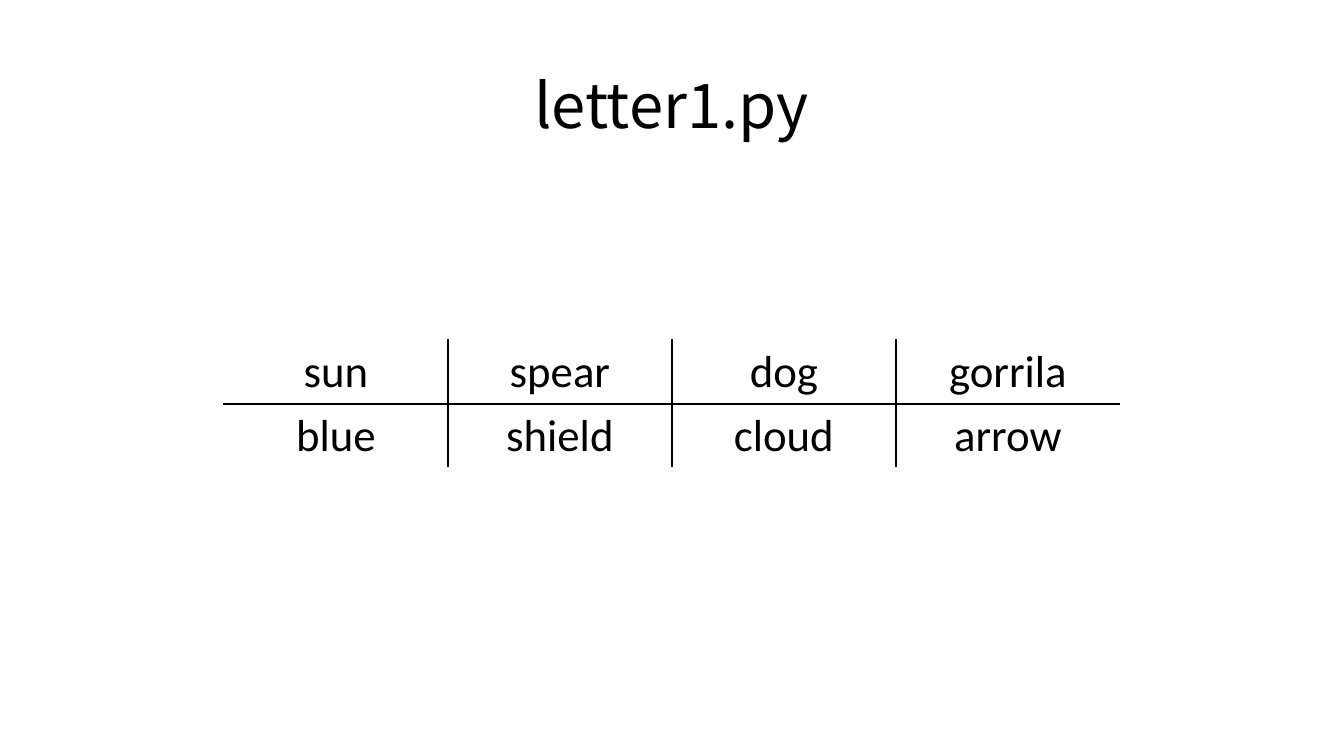
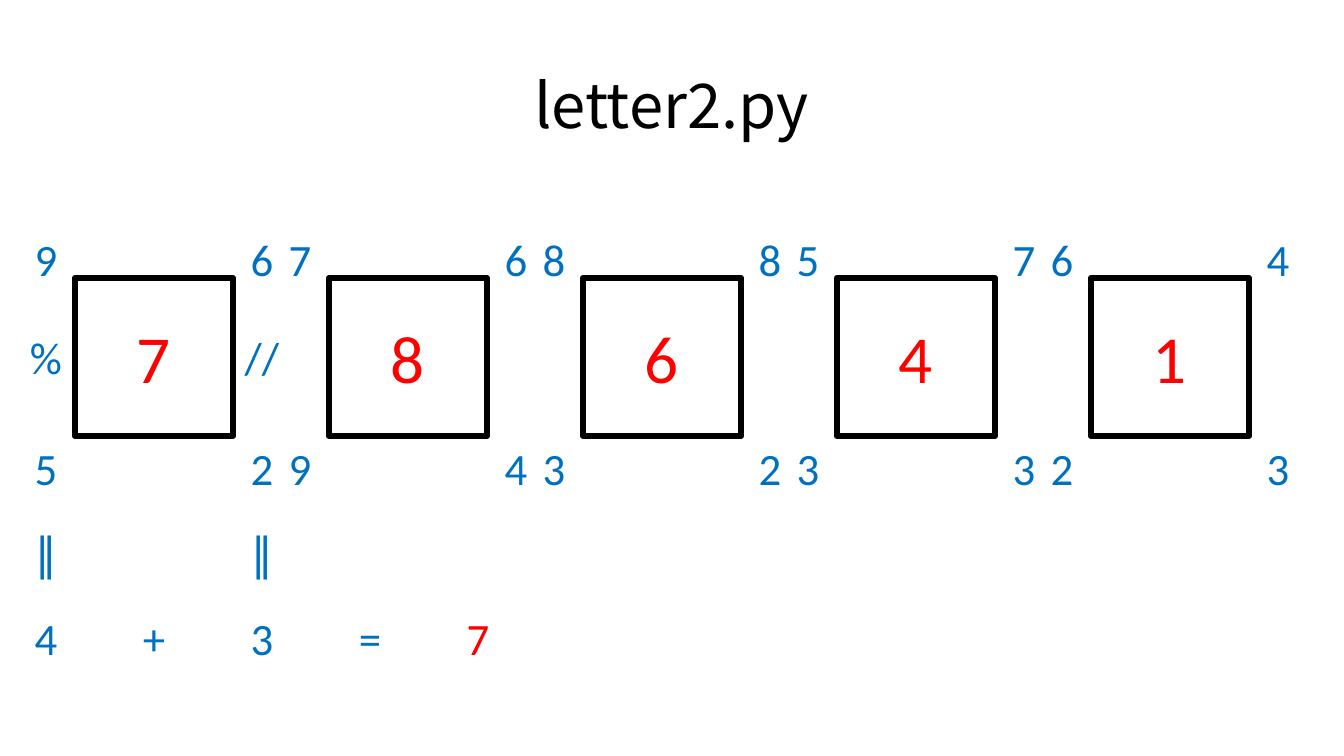
from dataclasses import dataclass

from lxml import etree
from pptx import Presentation
from pptx import util as u
from pptx.dml import color as dml
from pptx.enum import shapes, text
from pptx.oxml import ns

PIXEL = 914400 / 100.8
SLIDE_WIDTH, SLIDE_HEIGHT = 1344, 756
BLACK, BLUE, RED = "000000", "0070C0", "FF0000"
BODY_FONT, TITLE_FONT = "Calibri", "Noto Sans CJK JP"
TITLE_ONLY_LAYOUT = 5

FITTED_FRAME = {
    "word_wrap": True,
    "auto_size": text.MSO_AUTO_SIZE.SHAPE_TO_FIT_TEXT,
    "vertical_anchor": text.MSO_ANCHOR.TOP,
}
CENTRED_FRAME = {"word_wrap": True, "vertical_anchor": text.MSO_ANCHOR.MIDDLE}
TITLE_TEXT = {"name": TITLE_FONT, "size": u.Pt(44)}
LABEL_TEXT = {"name": BODY_FONT, "size": u.Pt(32)}
ANSWER_TEXT = {"name": BODY_FONT, "size": u.Pt(48)}

WORD_ROWS = (
    ("sun", "spear", "dog", "gorrila"),
    ("blue", "shield", "cloud", "arrow"),
)
WORD_LEFT, WORD_TOP, WORD_WIDTH, WORD_HEIGHT = 224, 340, 224, 64

BOX_LEFT, BOX_TOP, BOX_SIZE, BOX_STEP = 75, 278, 158, 254
LABEL_WIDTH, LABEL_HEIGHT = 58, 64
UPPER_TOP, LOWER_TOP = 227, BOX_TOP + BOX_SIZE
OPERATOR_TOP, PARALLEL_TOP, SUM_TOP = 325, 521, 606
SUM_LEFT, SUM_STEP = BOX_LEFT - LABEL_WIDTH, 108


@dataclass(frozen=True)
class NumberBox:
    """An answer with the numbers at its four corners."""
    answer: str
    upper: tuple[str, str]
    lower: tuple[str, str]


@dataclass(frozen=True)
class Label:
    """A short centred text; column counts along the sum below the boxes."""
    words: str
    column: int
    top: int
    colour: str = BLUE


NUMBER_BOXES = (
    NumberBox("7", ("9", "6"), ("5", "2")),
    NumberBox("8", ("7", "6"), ("9", "4")),
    NumberBox("6", ("8", "8"), ("3", "2")),
    NumberBox("4", ("5", "7"), ("3", "3")),
    NumberBox("1", ("6", "4"), ("2", "3")),
)
WORKING = (
    Label("%", 0, OPERATOR_TOP),
    Label("//", 2, OPERATOR_TOP),
    Label("∥", 0, PARALLEL_TOP),
    Label("∥", 2, PARALLEL_TOP),
    Label("4", 0, SUM_TOP),
    Label("+", 1, SUM_TOP),
    Label("3", 2, SUM_TOP),
    Label("=", 3, SUM_TOP),
    Label("7", 4, SUM_TOP, RED),
)


def px(pixels: int) -> u.Emu:
    """Turn pixels into EMU."""
    return u.Emu(round(pixels * PIXEL))


def rgb(colour: str) -> dml.RGBColor:
    """Turn a hex string into a colour."""
    return dml.RGBColor.from_string(colour)


def apply_format(target, values: dict) -> None:
    """Set every attribute named in values."""
    for name, value in values.items():
        setattr(target, name, value)


def write(text_frame, words: str, style: dict, colour: str) -> None:
    """Fill a text frame with one centred paragraph."""
    paragraph = text_frame.paragraphs[0]
    paragraph.alignment = text.PP_ALIGN.CENTER
    run = paragraph.add_run()
    run.text = words
    apply_format(run.font, style)
    run.font.color.rgb = rgb(colour)


def add_titled_slide(presentation, title: str):
    """Add a slide with the shared title style."""
    slide = presentation.slides.add_slide(
        presentation.slide_layouts[TITLE_ONLY_LAYOUT])
    shape = slide.shapes.title
    apply_format(shape, {"left": px(465), "top": px(62),
                         "width": px(413), "height": px(85)})
    apply_format(shape.text_frame, FITTED_FRAME)
    write(shape.text_frame, title, TITLE_TEXT, BLACK)
    return slide


def add_border(cell, side: str, colour: str) -> None:
    """Draw a one point border on one side (L, R, T or B) of a cell."""
    properties = cell._tc.get_or_add_tcPr()
    line = etree.SubElement(properties, ns.qn(f"a:ln{side}"), w=str(u.Pt(1)))
    fill = etree.SubElement(line, ns.qn("a:solidFill"))
    etree.SubElement(fill, ns.qn("a:srgbClr"), val=str(rgb(colour)))


def add_word_table(slide) -> None:
    """Add the word table, ruled only between its cells."""
    row_count, column_count = len(WORD_ROWS), len(WORD_ROWS[0])
    table = slide.shapes.add_table(
        row_count, column_count, px(WORD_LEFT), px(WORD_TOP),
        px(WORD_WIDTH * column_count), px(WORD_HEIGHT * row_count)).table
    apply_format(table, {"first_row": False, "horz_banding": False})
    for row, words in enumerate(WORD_ROWS):
        for column, word in enumerate(words):
            cell = table.cell(row, column)
            inner_sides = {"L": column > 0, "R": column < column_count - 1,
                           "T": row > 0, "B": row < row_count - 1}
            for side, is_inner in inner_sides.items():
                if is_inner:
                    add_border(cell, side, BLACK)
            cell.fill.background()
            write(cell.text_frame, word, LABEL_TEXT, BLACK)


def add_label(slide, words: str, left: int, top: int,
              colour: str = BLUE) -> None:
    """Add a short text box."""
    shape = slide.shapes.add_textbox(
        px(left), px(top), px(LABEL_WIDTH), px(LABEL_HEIGHT))
    apply_format(shape.text_frame, FITTED_FRAME)
    write(shape.text_frame, words, LABEL_TEXT, colour)


def add_number_box(slide, box: NumberBox, left: int) -> None:
    """Add an outlined square with its answer and corner numbers."""
    shape = slide.shapes.add_shape(
        shapes.MSO_SHAPE.RECTANGLE,
        px(left), px(BOX_TOP), px(BOX_SIZE), px(BOX_SIZE))
    shape.shadow.inherit = False
    shape.fill.background()
    shape.line.color.rgb = rgb(BLACK)
    shape.line.width = u.Pt(4.5)
    apply_format(shape.text_frame, CENTRED_FRAME)
    write(shape.text_frame, box.answer, ANSWER_TEXT, RED)
    for numbers, top in ((box.upper, UPPER_TOP), (box.lower, LOWER_TOP)):
        for number, corner in zip(numbers, (-LABEL_WIDTH, BOX_SIZE)):
            add_label(slide, number, left + corner, top)


def main() -> None:
    """Build both slides and save them."""
    presentation = Presentation()
    apply_format(presentation, {"slide_width": px(SLIDE_WIDTH),
                                "slide_height": px(SLIDE_HEIGHT)})

    add_word_table(add_titled_slide(presentation, "letter1.py"))

    slide = add_titled_slide(presentation, "letter2.py")
    for index, box in enumerate(NUMBER_BOXES):
        add_number_box(slide, box, BOX_LEFT + index * BOX_STEP)
    for label in WORKING:
        add_label(slide, label.words, SUM_LEFT + label.column * SUM_STEP,
                  label.top, label.colour)

    presentation.save("out.pptx")


main()
